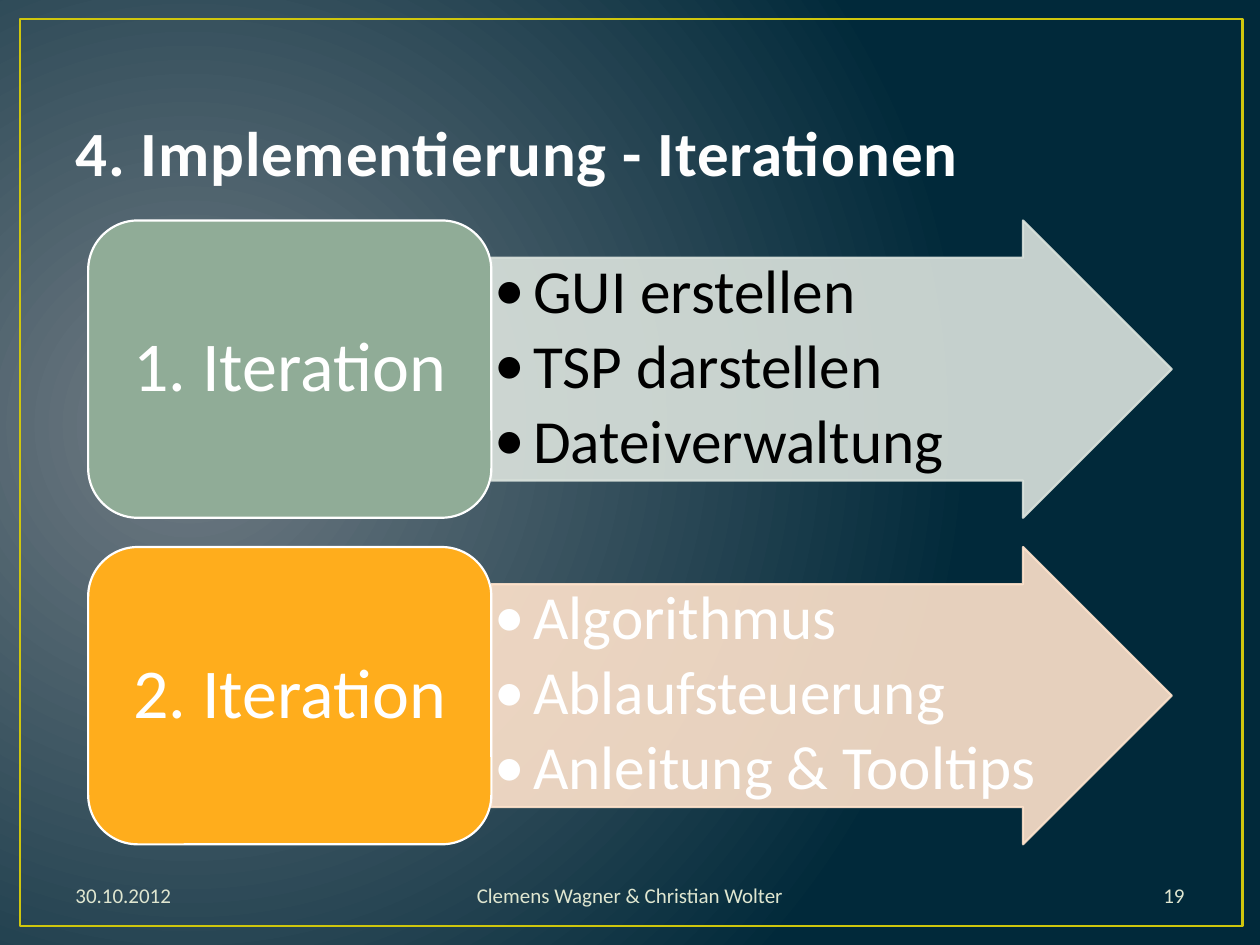
from dataclasses import dataclass
from typing import Any, NamedTuple

from lxml import etree
from pptx import Presentation
from pptx.dml import color
from pptx.enum import shapes, text
from pptx.oxml import ns
from pptx.util import Pt

FONT = "Calibri"
WHITE = "FFFFFF"
LEFT, MID, RIGHT = text.PP_ALIGN.LEFT, text.PP_ALIGN.CENTER, text.PP_ALIGN.RIGHT
TOP, CENTER, BASE = (text.MSO_ANCHOR.TOP, text.MSO_ANCHOR.MIDDLE,
                     text.MSO_ANCHOR.BOTTOM)
KIND = shapes.MSO_SHAPE


class Box(NamedTuple):
    left: float
    top: float
    width: float
    height: float


@dataclass
class Style:
    size: float
    ink: str
    align: Any = LEFT
    anchor: Any = CENTER
    pad: tuple[float, float] = (7.2, 3.6)
    bold: bool = False
    lead: float = 1.0
    after: float = 0
    indent: float = 0
    level: int = 0


@dataclass
class Step:
    title: str
    items: tuple[str, ...]
    fill: str
    pale: str
    ink: str


class Foot(NamedTuple):
    words: str
    left: float
    width: float
    align: Any


STEPS = [
    Step("1. Iteration", ("GUI erstellen", "TSP darstellen", "Dateiverwaltung"),
         "90AC97", "DBE3DD", "000000"),
    Step("2. Iteration", ("Algorithmus", "Ablaufsteuerung", "Anleitung & Tooltips"),
         "FFAD1C", "FFE3CC", WHITE),
]
FEET = [
    Foot("30.10.2012", 36, 168, LEFT),
    Foot("Clemens Wagner & Christian Wolter", 223, 274, MID),
    Foot("19", 516, 168, RIGHT),
]


def tint(code: str) -> color.RGBColor:
    return color.RGBColor.from_string(code)


def apply(target: Any, values: dict[str, Any]) -> None:
    for name, value in values.items():
        setattr(target, name, value)


def place(box: Box) -> list[int]:
    return [Pt(side) for side in box]


def bullet(para: Any, indent: float) -> None:
    props = para._p.get_or_add_pPr()
    props.set("marL", str(Pt(indent)))
    props.set("indent", str(-Pt(indent)))
    etree.SubElement(props, ns.qn("a:buFont")).set("typeface", FONT)
    etree.SubElement(props, ns.qn("a:buChar")).set("char", "•")


def write(shape: Any, lines: tuple[str, ...], style: Style) -> None:
    frame = shape.text_frame
    side, edge = (Pt(pad) for pad in style.pad)
    apply(frame, {
        "word_wrap": True, "vertical_anchor": style.anchor,
        "margin_left": side, "margin_right": side,
        "margin_top": edge, "margin_bottom": edge,
    })
    frame.text = "\n".join(lines)
    for para in frame.paragraphs:
        apply(para, {
            "alignment": style.align, "level": style.level,
            "line_spacing": style.lead, "space_after": Pt(style.after),
        })
        if style.indent:
            bullet(para, style.indent)
        for run in para.runs:
            apply(run.font, {"name": FONT, "size": Pt(style.size), "bold": style.bold})
            run.font.color.rgb = tint(style.ink)


def label(slide: Any, box: Box, words: str, style: Style) -> Any:
    shape = slide.shapes.add_textbox(*place(box))
    write(shape, (words,), style)
    return shape


def draw(slide: Any, kind: Any, box: Box, fill: str | None, line: str,
         weight: float = 1.25, alpha: int = 100) -> Any:
    shape = slide.shapes.add_shape(kind, *place(box))
    shape.shadow.inherit = False
    if fill:
        shape.fill.solid()
        shape.fill.fore_color.rgb = tint(fill)
    else:
        shape.fill.background()
    shape.line.color.rgb = tint(line)
    shape.line.width = Pt(weight)
    if alpha < 100:
        for tone in shape.element.spPr.iter(ns.qn("a:srgbClr")):
            etree.SubElement(tone, ns.qn("a:alpha")).set("val", str(alpha * 1000))
    return shape


def shade(slide: Any, inner: str, outer: str) -> None:
    fill = slide.background.fill
    fill.gradient()
    for stop, code, spot in zip(fill.gradient_stops, (inner, outer), (0, 1)):
        stop.color.rgb = tint(code)
        stop.position = spot
    grad = slide.element.find(".//" + ns.qn("a:gradFill"))
    grad.remove(grad.find(ns.qn("a:lin")))
    round_off = etree.SubElement(grad, ns.qn("a:path"), {"path": "circle"})
    etree.SubElement(round_off, ns.qn("a:fillToRect"),
                     {"l": "15000", "t": "50000", "r": "85000", "b": "60000"})


def row(slide: Any, step: Step, top: float) -> None:
    left, width, height = 50.4, 230.4, 169.92
    arrow = draw(slide, KIND.RIGHT_ARROW, Box(left + width, top, 388.8, height),
                 step.pale, step.pale, alpha=90)
    arrow.adjustments[0] = 0.75
    write(arrow, step.items, Style(35, step.ink, anchor=TOP, pad=(1.6, 1.6), lead=0.9,
                                   after=5, indent=22.32, level=1))
    card = draw(slide, KIND.ROUNDED_RECTANGLE, Box(left, top, width, height),
                step.fill, WHITE)
    write(card, (step.title,), Style(40, WHITE, MID, pad=(12, 6), lead=0.9))


def main() -> None:
    deck = Presentation()
    apply(deck, {"slide_width": Pt(720), "slide_height": Pt(540)})
    slide = deck.slides.add_slide(deck.slide_layouts[6])
    shade(slide, "717C84", "01293A")
    draw(slide, KIND.RECTANGLE, Box(11.5, 10.8, 698.4, 518.4), None, "CFC60D", 1.5)
    head = label(slide, Box(36, 21.6, 648, 90), "4. Implementierung - Iterationen",
                 Style(36, "FEFEFE", anchor=BASE, bold=True))
    head.text_frame.paragraphs[0].runs[0]._r.get_or_add_rPr().set("spc", "50")
    for rank, step in enumerate(STEPS):
        row(slide, step, 126 + rank * 186.6)
    for foot in FEET:
        label(slide, Box(foot.left, 497, foot.width, 28.8), foot.words,
              Style(12, "DFE6D0", foot.align))
    deck.save("out.pptx")


if __name__ == "__main__":
    main()
